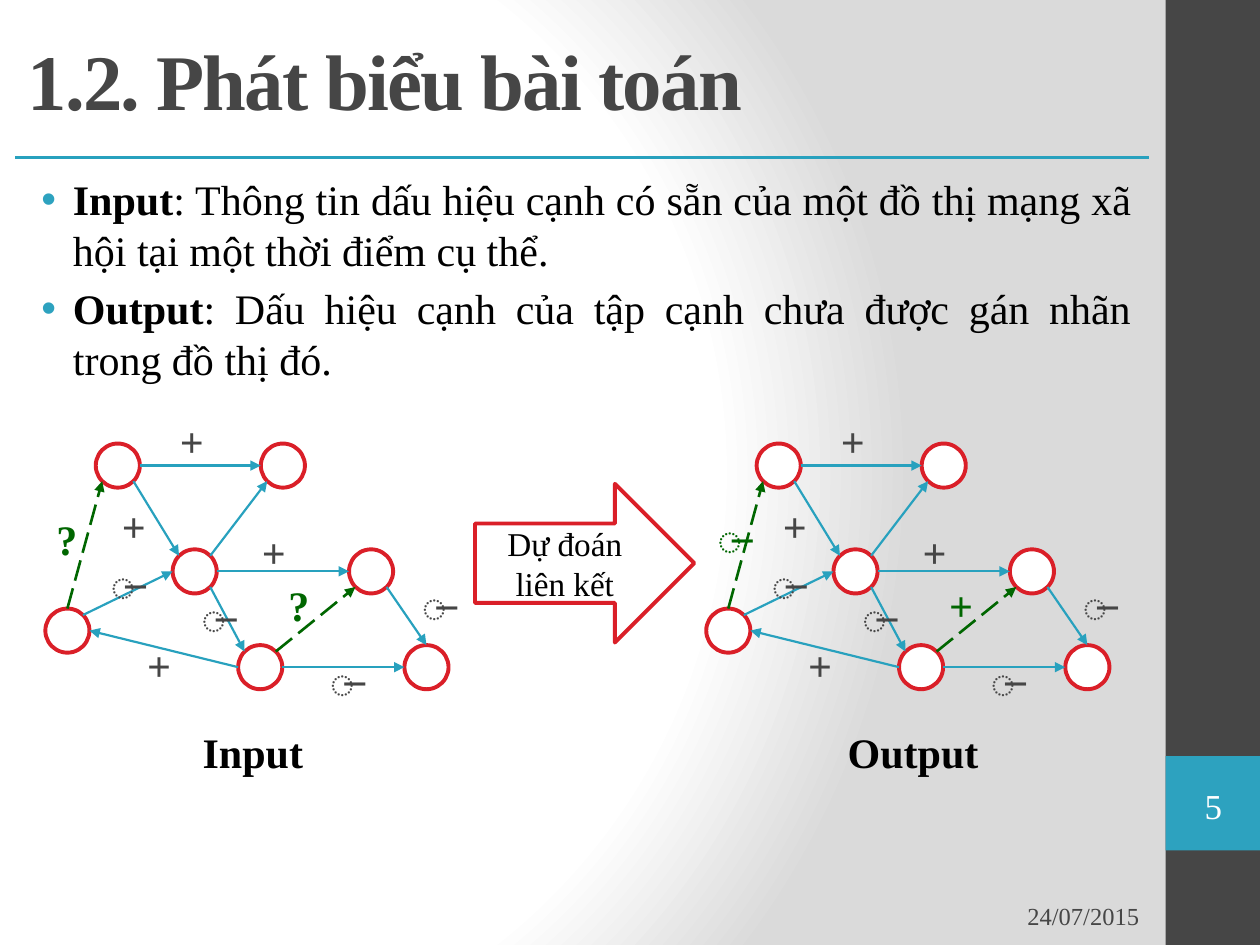
"""Build the slide that states the link sign prediction problem as two signed graphs."""
from dataclasses import dataclass
from math import cos, radians, sin

from lxml.etree import SubElement
from pptx import Presentation
from pptx.dml.color import RGBColor
from pptx.enum.dml import MSO_LINE
from pptx.enum.shapes import MSO_CONNECTOR, MSO_SHAPE
from pptx.enum.text import MSO_ANCHOR, PP_ALIGN
from pptx.oxml import parse_xml
from pptx.oxml.ns import nsdecls, qn
from pptx.util import Inches, Pt


@dataclass(frozen=True)
class Theme:
    font: str = "Times New Roman"
    white: str = "FFFFFF"
    shade: str = "DADADA"
    black: str = "000000"
    dark: str = "464646"
    accent: str = "2DA2BF"
    edge: str = "28A1BE"
    red: str = "DA1F28"
    green: str = "006600"
    title_size: float = 45
    text_size: float = 24
    number_size: float = 20
    arrow_size: float = 19
    date_size: float = 14
    thick: float = 2.25
    dashed: float = 1.5
    thin: float = 1.25


THEME = Theme()
WIDTH, HEIGHT = 10, 7.5
SIDEBAR = 9.25
NODE = 0.35
SIGN_WIDTH, SIGN_HEIGHT = 0.44, 0.53
GRAPH_SHIFT = 5.245

TITLE = "1.2. Phát biểu bài toán"
BULLETS = [
    ("Input", ": Thông tin dấu hiệu cạnh có sẵn của một đồ thị mạng xã hội tại một thời điểm cụ thể."),
    ("Output", ": Dấu hiệu cạnh của tập cạnh chưa được gán nhãn trong đồ thị đó."),
]
NODES = {
    "top left": (0.76, 3.52), "west": (0.36, 4.83), "top right": (2.07, 3.52),
    "hub": (1.37, 4.36), "south": (1.89, 5.12), "south east": (3.21, 5.12),
    "east": (2.77, 4.36),
}
ANGLES = {"E": 0, "SE": 45, "SW": 135, "W": 180, "NW": 225, "N": 270, "NE": 315}
KNOWN_EDGES = [
    ("west", "NE", "hub", "W"), ("top left", "SE", "hub", "NW"),
    ("top left", "E", "top right", "W"), ("hub", "NE", "top right", "SW"),
    ("hub", "E", "east", "W"), ("hub", "SE", "south", "NW"),
    ("south", "W", "west", "E"), ("south", "E", "south east", "W"),
    ("east", "SE", "south east", "N"),
]
UNKNOWN_EDGES = [("west", "N", "top left", "SW"), ("south", "NE", "east", "SW")]
PLUS, MINUS = "+", "̶"
KNOWN_SIGNS = [
    (PLUS, 0.87, 3.92), (PLUS, 1.33, 3.25), (PLUS, 1.98, 4.13), (PLUS, 1.07, 5.03),
    (MINUS, 2.52, 5.16), (MINUS, 3.25, 4.56), (MINUS, 1.5, 4.65), (MINUS, 0.78, 4.39),
]
UNKNOWN_PLACES = [(2.19, 4.55), (0.35, 4.03)]
GRAPHS = [
    (0, ("?", "?"), "Input", (1.51, 5.72, 1.01, 0.5)),
    (GRAPH_SHIFT, (PLUS, MINUS), "Output", (6.63, 5.72, 1.26, 0.5)),
]


def color(value):
    return RGBColor.from_string(value)


def add_run(paragraph, text, size, ink, bold=False):
    run = paragraph.add_run()
    run.text = text
    run.font.name = THEME.font
    run.font.size = Pt(size)
    run.font.bold = bold
    run.font.color.rgb = color(ink)
    return run


def add_text_box(slide, box, anchor=MSO_ANCHOR.TOP):
    frame = slide.shapes.add_textbox(*map(Inches, box)).text_frame
    frame.word_wrap = True
    frame.vertical_anchor = anchor
    return frame


def add_label(slide, box, text, size, ink, bold=False, align=PP_ALIGN.LEFT, anchor=MSO_ANCHOR.TOP):
    paragraph = add_text_box(slide, box, anchor).paragraphs[0]
    paragraph.alignment = align
    return add_run(paragraph, text, size, ink, bold)


def add_shape(slide, kind, box, fill, line=None):
    shape = slide.shapes.add_shape(kind, *map(Inches, box))
    shape.shadow.inherit = False
    shape.fill.solid()
    shape.fill.fore_color.rgb = color(fill)
    if line:
        shape.line.color.rgb = color(line)
        shape.line.width = Pt(THEME.thick)
    else:
        shape.line.fill.background()
    return shape


def add_line(slide, start, end, ink, width, arrow=False, dash=None):
    connector = slide.shapes.add_connector(MSO_CONNECTOR.STRAIGHT, *map(Inches, (*start, *end)))
    connector.line.color.rgb = color(ink)
    connector.line.width = Pt(width)
    if dash:
        connector.line.dash_style = dash
    properties = connector._element.spPr
    if arrow:
        SubElement(properties.find(qn("a:ln")), qn("a:tailEnd"), type="triangle")
    SubElement(properties, qn("a:effectLst"))


def add_background(slide):
    stops = [(0, THEME.white), (75, THEME.white), (100, THEME.shade)]
    stop_list = "".join(
        f'<a:gs pos="{place * 1000}"><a:srgbClr val="{value}"/></a:gs>' for place, value in stops)
    slide._element.cSld.insert(0, parse_xml(
        f'<p:bg {nsdecls("p", "a")}><p:bgPr><a:gradFill rotWithShape="1"><a:gsLst>{stop_list}</a:gsLst>'
        '<a:path path="circle"><a:fillToRect l="20000" t="50000" r="100000" b="50000"/></a:path>'
        "</a:gradFill><a:effectLst/></p:bgPr></p:bg>"))


def add_bullets(slide):
    frame = add_text_box(slide, (0.1, 1.33, 8.98, 1.83))
    for index, (term, meaning) in enumerate(BULLETS):
        paragraph = frame.paragraphs[0] if index == 0 else frame.add_paragraph()
        paragraph.alignment = PP_ALIGN.JUSTIFY
        if index:
            paragraph.space_before = Pt(THEME.text_size * 0.2)
        properties = paragraph._p.get_or_add_pPr()
        properties.set("marL", str(Inches(0.38)))
        properties.set("indent", str(Inches(-0.25)))
        SubElement(SubElement(properties, qn("a:buClr")), qn("a:srgbClr"), val=THEME.accent)
        SubElement(properties, qn("a:buFont"), typeface="Arial")
        SubElement(properties, qn("a:buChar"), char="•")
        add_run(paragraph, term, THEME.text_size, THEME.black, bold=True)
        add_run(paragraph, meaning, THEME.text_size, THEME.black)


def node_point(node, side, shift):
    left, top = NODES[node]
    angle, radius = radians(ANGLES[side]), NODE / 2
    return left + shift + radius * (1 + cos(angle)), top + radius * (1 + sin(angle))


def add_graph(slide, shift, answers, caption, caption_box):
    for left, top in NODES.values():
        add_shape(slide, MSO_SHAPE.OVAL, (left + shift, top, NODE, NODE), THEME.white, THEME.red)
    styles = [(KNOWN_EDGES, THEME.edge, THEME.thin, None),
              (UNKNOWN_EDGES, THEME.green, THEME.dashed, MSO_LINE.LONG_DASH)]
    for edges, ink, width, dash in styles:
        for source, leave, target, arrive in edges:
            add_line(slide, node_point(source, leave, shift), node_point(target, arrive, shift),
                     ink, width, arrow=True, dash=dash)
    signs = [(*sign, THEME.dark) for sign in KNOWN_SIGNS]
    signs += [(sign, *place, THEME.green) for sign, place in zip(answers, UNKNOWN_PLACES)]
    for sign, left, top, ink in signs:
        add_label(slide, (left + shift, top, SIGN_WIDTH, SIGN_HEIGHT), sign, THEME.text_size, ink, bold=True)
    add_label(slide, caption_box, caption, THEME.text_size, THEME.black, bold=True)


def main():
    presentation = Presentation()
    presentation.slide_width, presentation.slide_height = Inches(WIDTH), Inches(HEIGHT)
    slide = presentation.slides.add_slide(presentation.slide_layouts[6])
    add_background(slide)
    add_shape(slide, MSO_SHAPE.RECTANGLE, (SIDEBAR, 0, WIDTH - SIDEBAR, HEIGHT), THEME.dark)
    add_shape(slide, MSO_SHAPE.RECTANGLE, (SIDEBAR, 6, WIDTH - SIDEBAR, 0.75), THEME.accent)
    add_line(slide, (0.12, 1.25), (9.12, 1.25), THEME.edge, THEME.thick)
    title = add_label(slide, (0.12, 0, 9, 1.25), TITLE, THEME.title_size, THEME.dark,
                      bold=True, anchor=MSO_ANCHOR.MIDDLE)
    title.font._element.set("spc", "-100")
    add_bullets(slide)
    add_label(slide, (6.47, 7.07, 2.67, 0.4), "24/07/2015", THEME.date_size, THEME.dark,
              align=PP_ALIGN.RIGHT, anchor=MSO_ANCHOR.MIDDLE)
    add_label(slide, (9.33, 6.18, 0.6, 0.43), "5", THEME.number_size, THEME.white,
              align=PP_ALIGN.CENTER, anchor=MSO_ANCHOR.MIDDLE)
    for graph in GRAPHS:
        add_graph(slide, *graph)
    arrow = add_shape(slide, MSO_SHAPE.RIGHT_ARROW, (3.77, 3.84, 1.74, 1.26), THEME.white, THEME.red)
    arrow.text_frame.word_wrap = True
    arrow.text_frame.vertical_anchor = MSO_ANCHOR.MIDDLE
    paragraph = arrow.text_frame.paragraphs[0]
    paragraph.alignment = PP_ALIGN.CENTER
    add_run(paragraph, "Dự đoán liên kết", THEME.arrow_size, THEME.black)
    presentation.save("out.pptx")


if __name__ == "__main__":
    main()
